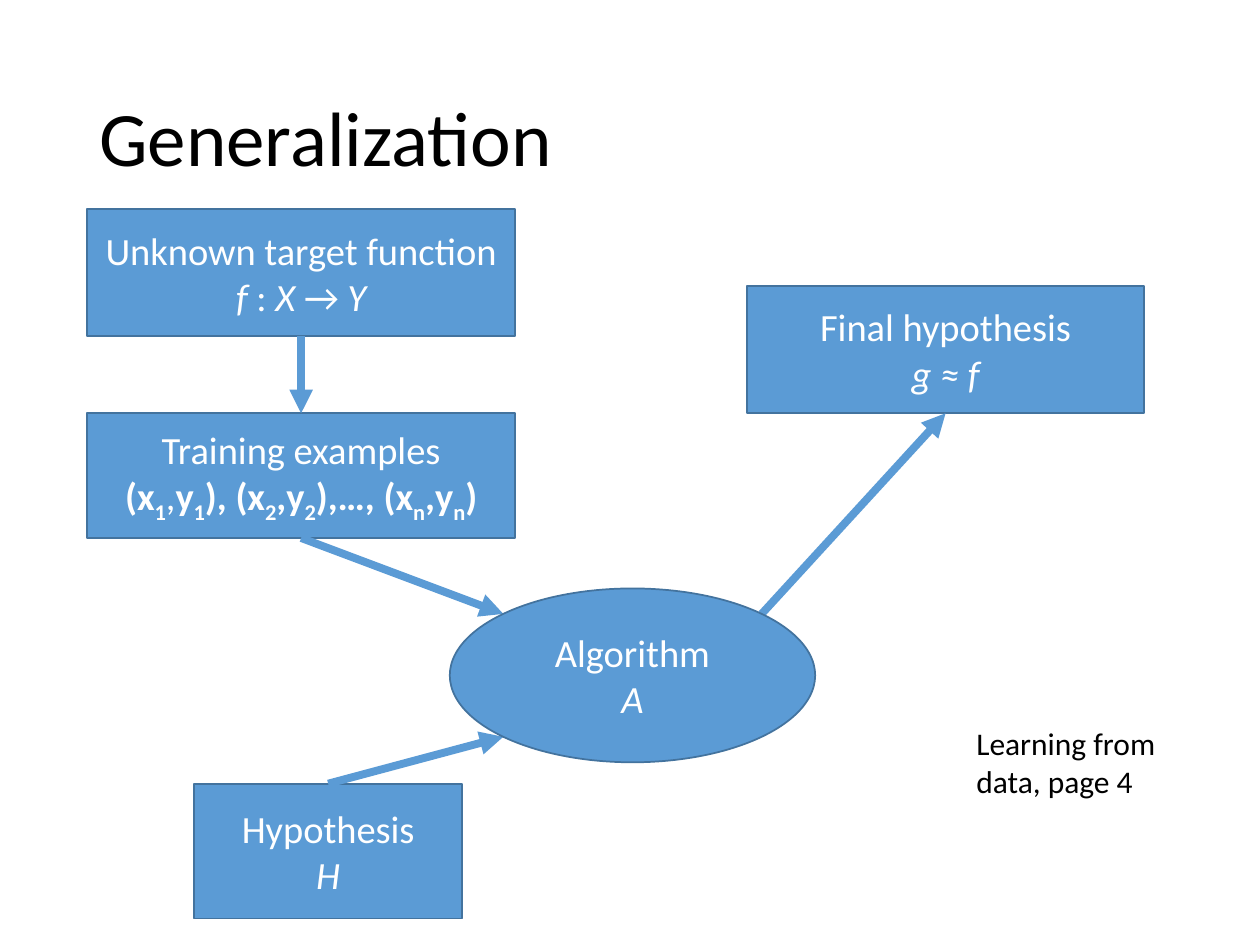
from lxml import etree
from pptx import Presentation
from pptx import util as u
from pptx.dml.color import RGBColor
from pptx.enum import shapes, text
from pptx.oxml.ns import qn

COLORS = {"fill": "5B9BD5", "outline": "43739E", "light": "FFFFFF", "dark": "000000"}
FONT = "Calibri"
WIDTH, HEIGHT = u.Inches(10), u.Inches(7.5)
COLUMNS, ROWS = 100, 75
DIAGONAL = 0.5 ** 0.5 / 2  # share of an ellipse's size from centre to its 45° point

# Node positions: column, row, columns wide, rows high
NODES = {
    "target": (6.9, 16.6, 34, 10.1),
    "examples": (6.9, 32.8, 34, 9.9),
    "final": (59.3, 22.7, 31.5, 10.1),
    "hypothesis": (15.4, 62.2, 21.3, 10.7),
    "algorithm": (35.7, 46.7, 29, 13.8),
}

# Each paragraph is a list of (text, style): i italic, b bold, s subscript
TEXTS = {
    "target": [[("Unknown target function", "")],
               [("f", "i"), (" : ", ""), ("X ", "i"), ("→ ", ""), ("Y", "i")]],
    "examples": [[("Training examples", "")],
                 [("(x", "b"), ("1", "bs"), (",", ""), ("y", "b"), ("1", "bs"),
                  ("), (x", "b"), ("2", "bs"), (",y", "b"), ("2", "bs"),
                  ("),…, (x", "b"), ("n", "bs"), (",y", "b"), ("n", "bs"), (")", "b")]],
    "final": [[("Final hypothesis", "")], [("g ≈ f", "i")]],
    "hypothesis": [[("Hypothesis", "")], [("H", "i")]],
    "algorithm": [[("Algorithm", "")], [("A", "i")]],
}

# Start node, its x and y share, end node, its x and y share
ARROWS = [
    ("target", 0.5, 1, "examples", 0.5, 0),
    ("examples", 0.5, 1, "algorithm", 0.5 - DIAGONAL, 0.5 - DIAGONAL),
    ("algorithm", 0.5 + DIAGONAL, 0.5 - DIAGONAL, "final", 0.5, 1),
    ("hypothesis", 0.5, 0, "algorithm", 0.5 - DIAGONAL, 0.5 + DIAGONAL),
]


def grid(column, row):
    return round(WIDTH * column / COLUMNS), round(HEIGHT * row / ROWS)


def color(name):
    return RGBColor.from_string(COLORS[name])


def write(shape, paragraphs, size=22, ink="light", align=text.PP_ALIGN.CENTER,
          anchor=text.MSO_ANCHOR.MIDDLE, spacing=None):
    frame = shape.text_frame
    frame.word_wrap = True
    frame.vertical_anchor = anchor
    for index, pieces in enumerate(paragraphs):
        paragraph = frame.add_paragraph() if index else frame.paragraphs[0]
        paragraph.alignment = align
        paragraph.line_spacing = spacing
        for words, style in pieces:
            run = paragraph.add_run()
            run.text = words
            run.font.name = FONT
            run.font.size = u.Pt(size)
            run.font.color.rgb = color(ink)
            run.font.italic = "i" in style
            run.font.bold = "b" in style
            if "s" in style:
                run._r.get_or_add_rPr().set("baseline", "-25000")


def add_label(slide, area, words, **style):
    box = slide.shapes.add_textbox(*grid(*area[:2]), *grid(*area[2:]))
    write(box, [[(words, "")]], ink="dark", align=text.PP_ALIGN.LEFT, **style)


def add_node(slide, name, kind=shapes.MSO_SHAPE.RECTANGLE):
    area = NODES[name]
    shape = slide.shapes.add_shape(kind, *grid(*area[:2]), *grid(*area[2:]))
    shape.shadow.inherit = False
    shape.fill.solid()
    shape.fill.fore_color.rgb = color("fill")
    shape.line.color.rgb = color("outline")
    shape.line.width = u.Pt(1)
    write(shape, TEXTS[name])


def point_on(name, across, down):
    column, row, columns, rows = NODES[name]
    return grid(column + columns * across, row + rows * down)


def add_arrow(slide, start, start_x, start_y, end, end_x, end_y):
    connector = slide.shapes.add_connector(
        shapes.MSO_CONNECTOR.STRAIGHT,
        *point_on(start, start_x, start_y), *point_on(end, end_x, end_y))
    connector.line.color.rgb = color("fill")
    connector.line.width = u.Pt(4.5)
    etree.SubElement(connector.line._get_or_add_ln(), qn("a:tailEnd"), type="triangle")
    etree.SubElement(connector._element.spPr, qn("a:effectLst"))


def main():
    presentation = Presentation()
    presentation.slide_width, presentation.slide_height = WIDTH, HEIGHT
    slide = presentation.slides.add_slide(presentation.slide_layouts[6])

    # Title
    add_label(slide, (6.9, 4, 86.2, 14.5), "Generalization", size=44, spacing=0.9)

    # Diagram: boxes, arrows, then the ellipse above the arrow ends
    for name in ("target", "examples", "final", "hypothesis"):
        add_node(slide, name)
    for arrow in ARROWS:
        add_arrow(slide, *arrow)
    add_node(slide, "algorithm", shapes.MSO_SHAPE.OVAL)

    # Reference
    add_label(slide, (76.5, 57, 18.2, 7.1), "Learning from data, page 4",
              size=18, anchor=text.MSO_ANCHOR.TOP)

    presentation.save("out.pptx")


if __name__ == "__main__":
    main()
